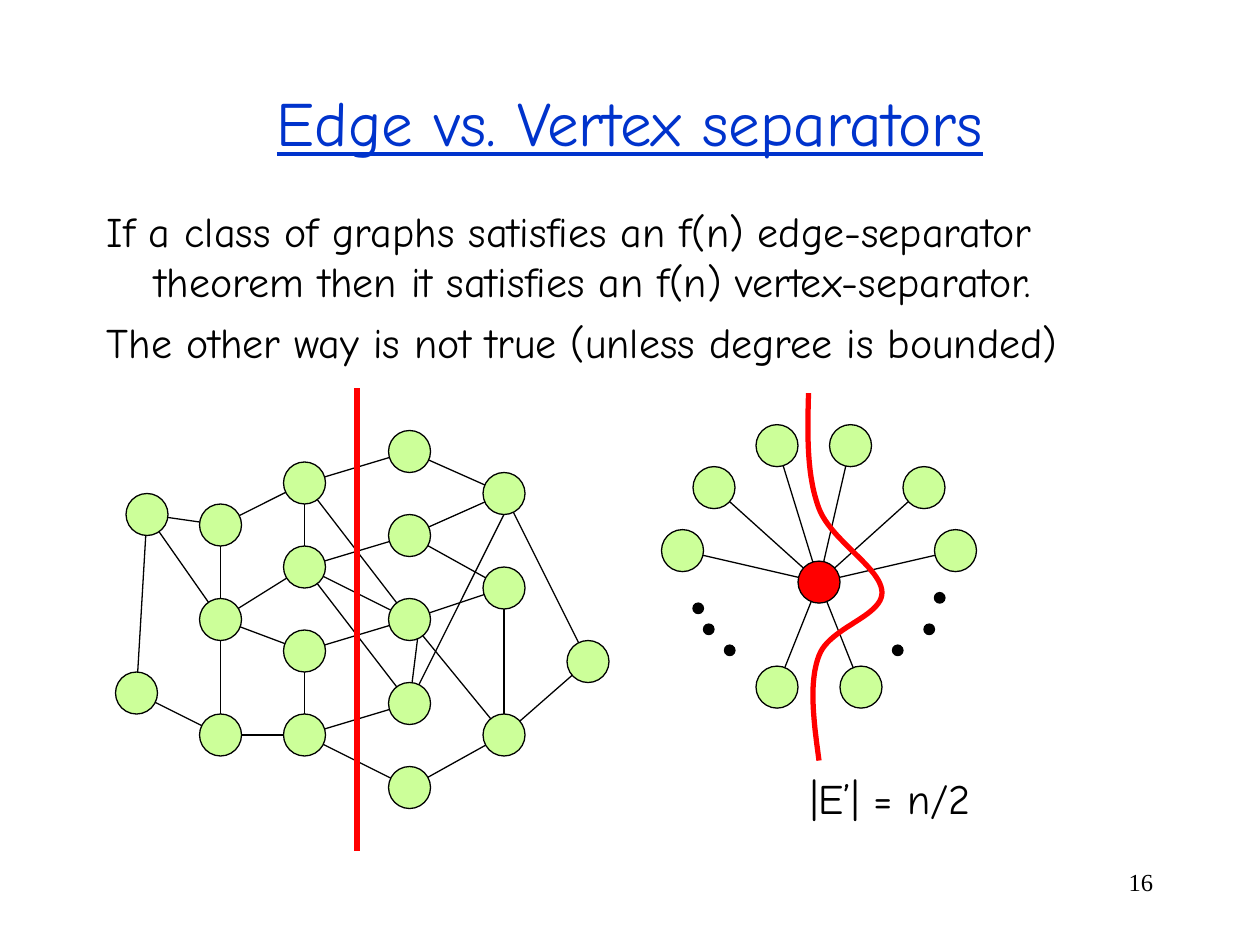
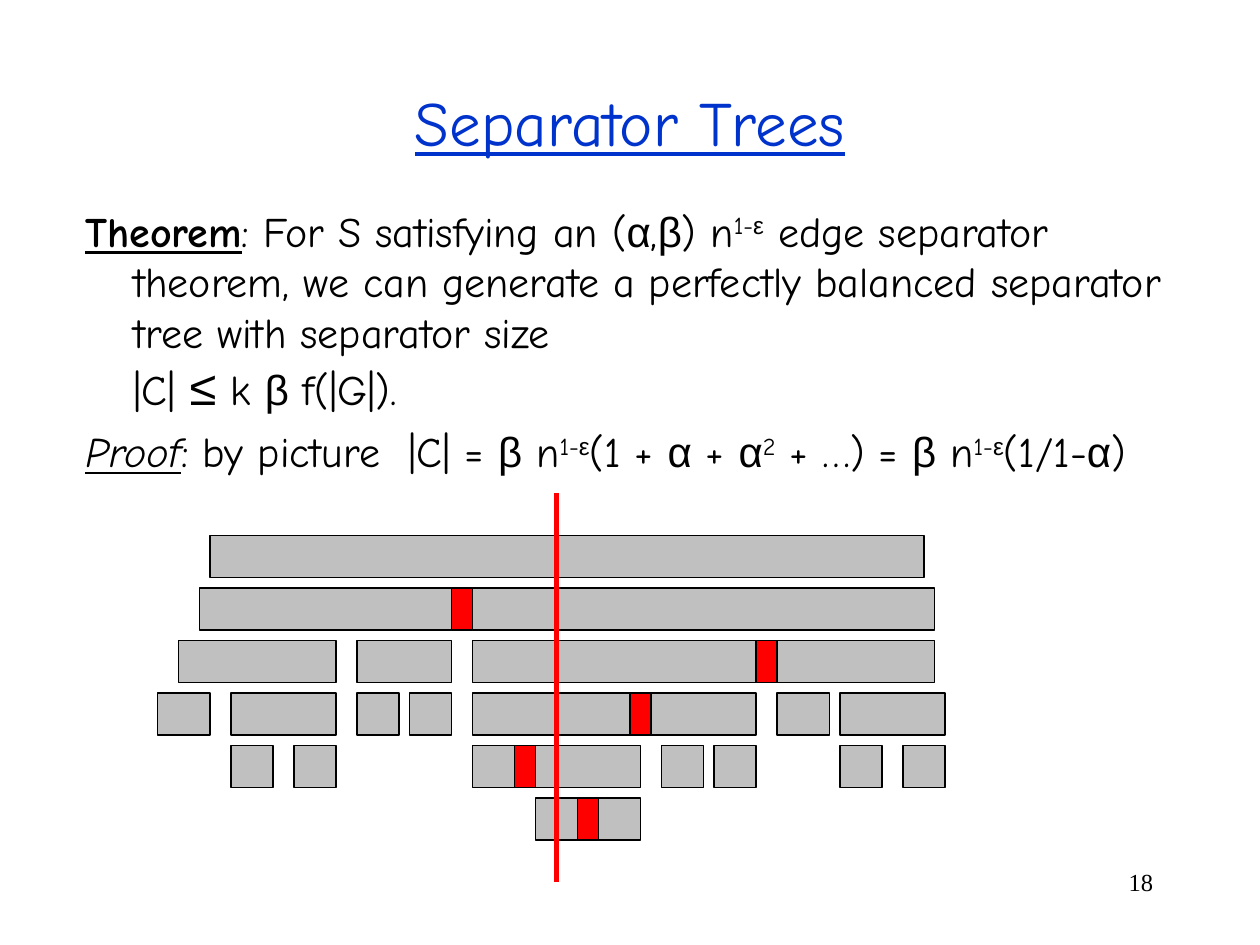
from itertools import groupby

from pptx import Presentation
from pptx import util as u
from pptx.dml.color import RGBColor
from pptx.enum import shapes, text
from pptx.oxml.ns import qn

TITLE_BLUE = RGBColor(0x00, 0x33, 0xCC)
BLACK = RGBColor(0x00, 0x00, 0x00)
RED = RGBColor(0xFF, 0x00, 0x00)
NODE_GREEN = RGBColor(0xCC, 0xFF, 0x99)
BAR_GREY = RGBColor(0xC0, 0xC0, 0xC0)

MAIN_FONT = "Comic Neue"
SYMBOL_FONT = "Arial"
NUMBER_FONT = "Times New Roman"
SYMBOLS = "αβε≤"

THIN, THICK = 0.75, 3
NODE_SIZE, DOT_SIZE = 4, 1
BAR_HEIGHT, BAR_PITCH, CUT_WIDTH = 4, 5, 2

GRAPH_NODES = {
    "a": (3, 12), "b": (2, 29),
    "c": (10, 13), "d": (10, 22), "e": (10, 33),
    "f": (18, 9), "g": (18, 17), "h": (18, 25), "i": (18, 33),
    "j": (28, 6), "k": (28, 14), "l": (28, 22), "m": (28, 30), "n": (28, 38),
    "o": (37, 10), "p": (37, 19), "q": (37, 33), "r": (45, 26),
}
GRAPH_EDGES = (
    "ei hd eb ed hi dg gf fc cd da ab ac ko jo lp pk or rq ql qp nq "
    "fj fl gk gm gl im in hl"
).split()
OFF_CENTER_EDGES = [((38, 10), (28, 30)), ((28, 30), (29, 22))]

HUB = (15, 18)
STAR_NODES = [(2, 15), (5, 9), (11, 5), (18, 5), (25, 9), (28, 15), (19, 28), (11, 28)]
STAR_DOTS = [(3.5, 20.5), (4.5, 22.5), (6.5, 24.5), (26.5, 19.5), (25.5, 22.5), (22.5, 24.5)]
STAR_CUT_START = (14, 0)
STAR_CUT_CURVES = [
    ((13.9, 3.9), (13.8, 7.8), (15, 11)),
    ((16.2, 14.1), (21, 16.7), (21, 19)),
    ((21, 21.3), (16, 22.3), (15, 25)),
    ((14, 27.6), (14.5, 31.3), (15, 35)),
]

TREE_ROWS = [
    [(5, 68)],
    [(4, 24), (30, 44)],
    [(2, 15), (19, 9), (30, 27), (59, 15)],
    [(0, 5), (7, 10), (19, 4), (24, 4), (30, 15), (47, 10), (59, 5), (65, 10)],
    [(7, 4), (13, 4), (30, 5), (36, 10), (48, 4), (53, 4), (65, 4), (71, 4)],
    [(36, 4), (42, 4)],
]
TREE_CUTS = [(1, 28), (2, 57), (3, 45), (4, 34), (5, 40)]

EDGE_VERTEX_TEXT = [
    [("If a class of graphs satisfies an f(n) edge-separator theorem "
      "then it satisfies an f(n) vertex-separator.", "")],
    [("The other way is not true (unless degree is bounded)", "")],
]
THEOREM_TEXT = [
    [("Theorem", "bold"), (": For S satisfying an (α,β) n", ""), ("1-ε", "super"),
     (" edge separator theorem, we can generate a perfectly balanced "
      "separator tree with separator size ", ""),
     ("", "break"), ("|C| ≤ k β f(|G|).", "")],
    [("Proof", "italic"), (": by picture  |C| = β n", ""),
     ("1-ε", "super"), ("(1 + α + α", ""), ("2", "super"),
     (" + …) = β n", ""), ("1-ε", "super"), ("(1/1-α)", "")],
]


def grid(steps):
    """Turn twelfths of an inch into a length."""
    return u.Inches(steps / 12)


def set_font(run, name, size, color=BLACK):
    """Give a run its font, size and colour."""
    run.font.name = name
    run.font.size = u.Pt(size)
    run.font.color.rgb = color


def add_line(shape_tree, box, start, end, color=BLACK, width=THIN):
    """Draw a straight line between two grid points of a box."""
    left, top = box
    line = shape_tree.add_connector(
        shapes.MSO_CONNECTOR.STRAIGHT,
        left + grid(start[0]), top + grid(start[1]),
        left + grid(end[0]), top + grid(end[1]))
    line.line.color.rgb = color
    line.line.width = u.Pt(width)
    properties = line._element.spPr
    properties.append(properties.makeelement(qn("a:effectLst"), {}))


def add_figure(shape_tree, kind, box, place, size, fill):
    """Draw an outlined preset shape at a grid place of a box."""
    figure = shape_tree.add_shape(
        kind, box[0] + grid(place[0]), box[1] + grid(place[1]), grid(size[0]), grid(size[1]))
    figure.shadow.inherit = False
    figure.fill.solid()
    figure.fill.fore_color.rgb = fill
    figure.line.color.rgb = BLACK
    figure.line.width = u.Pt(THIN)


def add_circle(shape_tree, box, center, size=NODE_SIZE, fill=NODE_GREEN):
    """Draw a circle around a grid point."""
    corner = (center[0] - size / 2, center[1] - size / 2)
    add_figure(shape_tree, shapes.MSO_SHAPE.OVAL, box, corner, (size, size), fill)


def add_bar(shape_tree, box, row, left, width, fill):
    """Draw one bar in a row of the separator tree."""
    place = (left, 4 + row * BAR_PITCH)
    add_figure(shape_tree, shapes.MSO_SHAPE.RECTANGLE, box, place, (width, BAR_HEIGHT), fill)


def add_label(shape_tree, box, size, words, font, points, alignment):
    """Place a one-line text box."""
    label = shape_tree.add_textbox(*box, *size)
    label.text_frame.word_wrap = True
    label.text_frame.text = words
    paragraph = label.text_frame.paragraphs[0]
    paragraph.alignment = alignment
    set_font(paragraph.runs[0], font, points)


def add_styled_runs(paragraph, words, style):
    """Add words to a paragraph, with symbols in their own font."""
    for is_symbol, letters in groupby(words, lambda letter: letter in SYMBOLS):
        run = paragraph.add_run()
        run.text = "".join(letters)
        set_font(run, SYMBOL_FONT if is_symbol else MAIN_FONT, 28 if run.text == "≤" else 24)
        if style == "super":
            run.font._element.set("baseline", "30000")
        elif style:
            run.font.underline = True
            run.font.bold = style == "bold"
            run.font.italic = style == "italic"


def add_body(slide, left, top, width, height, paragraphs):
    """Write the hanging-indent paragraphs of a slide."""
    frame = slide.shapes.add_textbox(left, top, width, height).text_frame
    frame.word_wrap = True
    for index, pieces in enumerate(paragraphs):
        paragraph = frame.add_paragraph() if index else frame.paragraphs[0]
        paragraph.space_before = u.Pt(6)
        properties = paragraph._p.get_or_add_pPr()
        properties.set("marL", str(u.Inches(0.38)))
        properties.set("indent", str(-u.Inches(0.38)))
        for words, style in pieces:
            if style == "break":
                paragraph.add_line_break()
            else:
                add_styled_runs(paragraph, words, style)


def add_titled_slide(presentation, title_text, number):
    """Start a slide with its title and number."""
    slide = presentation.slides.add_slide(presentation.slide_layouts[5])
    title = slide.shapes.title
    title.left, title.top = u.Inches(0.75), u.Inches(0.5)
    title.width, title.height = u.Inches(8.5), u.Inches(0.92)
    frame = title.text_frame
    frame.text = title_text
    frame.auto_size = text.MSO_AUTO_SIZE.NONE
    frame.vertical_anchor = text.MSO_ANCHOR.MIDDLE
    paragraph = frame.paragraphs[0]
    paragraph.alignment = text.PP_ALIGN.CENTER
    set_font(paragraph.runs[0], MAIN_FONT, 36, TITLE_BLUE)
    paragraph.runs[0].font.underline = True
    add_label(slide.shapes, (u.Inches(7.17), u.Inches(6.83)), (u.Inches(2.08), u.Inches(0.5)),
              number, NUMBER_FONT, 14, text.PP_ALIGN.RIGHT)
    return slide


def draw_split_graph(slide, left, top):
    """Draw the graph cut by a straight edge separator."""
    box = (left, top)
    edges = [(GRAPH_NODES[start], GRAPH_NODES[end]) for start, end in GRAPH_EDGES]
    for start, end in edges + OFF_CENTER_EDGES:
        add_line(slide.shapes, box, start, end)
    for center in GRAPH_NODES.values():
        add_circle(slide.shapes, box, center)
    add_line(slide.shapes, box, (23, 0), (23, 44), RED, THICK)


def curve_points(start, curves, steps=24):
    """Return points along a chain of cubic curves."""
    points = [start]
    for first, second, end in curves:
        corners = (start, first, second, end)
        for step in range(1, steps + 1):
            t = step / steps
            weights = ((1 - t) ** 3, 3 * t * (1 - t) ** 2, 3 * t ** 2 * (1 - t), t ** 3)
            points.append(tuple(
                sum(weight * corner[axis] for weight, corner in zip(weights, corners))
                for axis in (0, 1)))
        start = end
    return points


def draw_star(slide, left, top):
    """Draw the star graph with its curved cut and label."""
    box = (left, top)
    star = slide.shapes.add_group_shape().shapes
    for center in STAR_NODES:
        add_line(star, box, center, HUB)
    add_circle(star, box, HUB, fill=RED)
    for center in STAR_NODES:
        add_circle(star, box, center)
    for center in STAR_DOTS:
        add_circle(star, box, center, DOT_SIZE, BLACK)

    start, *points = [(grid(x), grid(y)) for x, y in
                      curve_points(STAR_CUT_START, STAR_CUT_CURVES)]
    builder = star.build_freeform(*start)
    builder.add_line_segments(points, close=False)
    cut = builder.convert_to_shape(left, top)
    cut.shadow.inherit = False
    cut.fill.background()
    cut.line.color.rgb = RED
    cut.line.width = u.Pt(THICK)

    add_label(star, (left + grid(13), top + grid(35.5)), (u.Inches(1.6), u.Inches(0.5)),
              "|E’| = n/2", MAIN_FONT, 24, text.PP_ALIGN.LEFT)


def draw_separator_tree(slide, left, top):
    """Draw the rows of the separator tree and the cut through them."""
    box = (left, top)
    for row, bars in enumerate(TREE_ROWS):
        for start, width in bars:
            add_bar(slide.shapes, box, row, start, width, BAR_GREY)
    add_line(slide.shapes, box, (38, 0), (38, 37), RED, THICK)
    for row, start in TREE_CUTS:
        add_bar(slide.shapes, box, row, start, CUT_WIDTH, RED)


def build_edge_vertex_slide(presentation):
    """Build the slide comparing edge and vertex separators."""
    slide = add_titled_slide(presentation, "Edge vs. Vertex separators", "16")
    add_body(slide, u.Inches(0.75), u.Inches(1.58), u.Inches(8.5), u.Inches(1.5),
             EDGE_VERTEX_TEXT)
    draw_split_graph(slide, grid(11), grid(37))
    draw_star(slide, u.Inches(5.25), u.Inches(3.12))


def build_separator_tree_slide(presentation):
    """Build the slide on separator trees."""
    slide = add_titled_slide(presentation, "Separator Trees", "18")
    add_body(slide, u.Inches(0.58), u.Inches(1.58), u.Inches(9.17), u.Inches(2.33),
             THEOREM_TEXT)
    draw_separator_tree(slide, grid(15), grid(47))


def main():
    """Build and save the presentation."""
    presentation = Presentation()
    presentation.slide_width = u.Inches(10)
    presentation.slide_height = u.Inches(7.5)
    build_edge_vertex_slide(presentation)
    build_separator_tree_slide(presentation)
    presentation.save("out.pptx")


if __name__ == "__main__":
    main()
